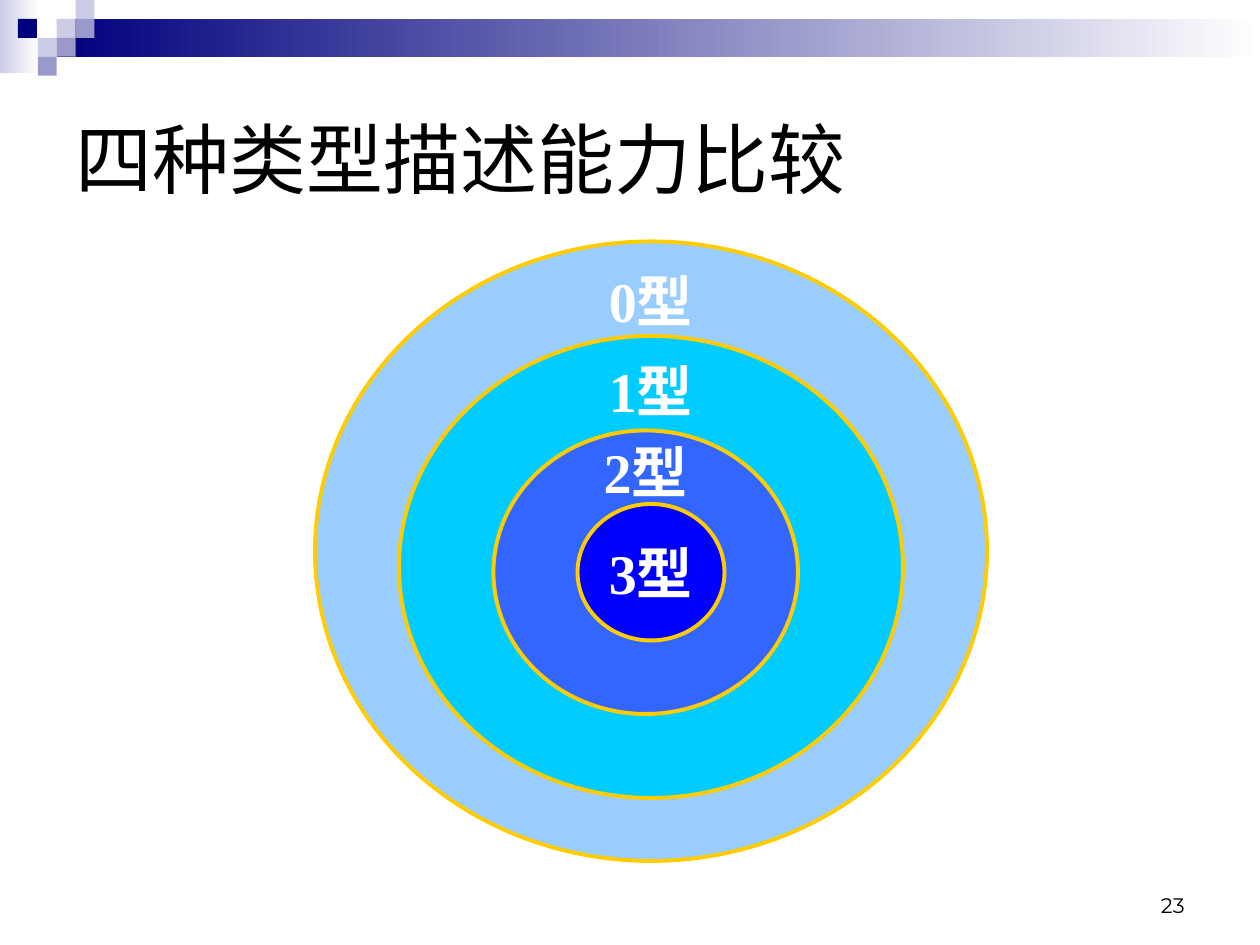
"""Build a slide of four nested grammar types under a pixel banner."""
import dataclasses
import typing

import pptx
import pptx.dml.color
import pptx.enum.shapes
import pptx.enum.text
import pptx.oxml.ns
import pptx.util
from lxml import etree

ALIGN = pptx.enum.text.PP_ALIGN
ANCHOR = pptx.enum.text.MSO_ANCHOR
KIND = pptx.enum.shapes.MSO_SHAPE


@dataclasses.dataclass(frozen=True)
class Theme:
    dark: str = "00007D"
    mid: str = "9999CC"
    pale: str = "CCCCE6"
    white: str = "FFFFFF"
    black: str = "000000"
    gold: str = "FFCC00"
    rings: tuple = ("99CCFF", "00CCFF", "3366FF", "0000FF")
    han: str = "Noto Sans CJK SC"
    serif: str = "Times New Roman"
    sans: str = "Montserrat"
    title: int = 44
    label: int = 32
    small: int = 12
    edge: float = 2.25


class Box(typing.NamedTuple):
    col: float
    row: float
    wide: float
    high: float


class Ring(typing.NamedTuple):
    box: Box
    fill: str
    text: str
    top: float


class Pixel(typing.NamedTuple):
    col: float
    row: float
    fill: str


THEME = Theme()
GRID = 1 / 12
STEP = 0.15
LABEL = Box(0, 0, 16, 8)

BANDS = [
    (Box(0, 0, 2.07, 3.87), THEME.pale),
    (Box(3, 1, 63.67, 2), THEME.dark),
]
PIXELS = [
    Pixel(3, 1, THEME.pale),
    Pixel(4, 0, THEME.pale),
    Pixel(4, 1, THEME.mid),
    Pixel(2, 2, THEME.pale),
    Pixel(0.95, 1, THEME.dark),
    Pixel(3, 2, THEME.mid),
    Pixel(2, 3, THEME.mid),
]
RINGS = [
    Ring(Box(30, 23, 64, 59), THEME.rings[0], "0型", 24.6),
    Ring(Box(38, 32, 48, 44), THEME.rings[1], "1型", 33.2),
    Ring(Box(47, 41, 29, 27), THEME.rings[2], "2型", 40.9),
    Ring(Box(55, 48, 14, 13), THEME.rings[3], "3型", 50.5),
]


def rgb(code: str) -> pptx.dml.color.RGBColor:
    return pptx.dml.color.RGBColor.from_string(code)


def place(box: Box, unit: float) -> list[int]:
    return [pptx.util.Inches(part * unit) for part in box]


def shape(slide, kind, box: Box, unit: float, fill: str):
    form = slide.shapes.add_shape(kind, *place(box, unit))
    form.shadow.inherit = False
    form.fill.solid()
    form.fill.fore_color.rgb = rgb(fill)
    form.line.fill.background()
    return form


def band(slide, box: Box, fill: str) -> None:
    form = shape(slide, KIND.RECTANGLE, box, STEP, fill)
    form.fill.gradient()
    form.fill.gradient_angle = 0
    for stop, code in zip(form.fill.gradient_stops, (fill, THEME.white)):
        stop.color.rgb = rgb(code)


def write(slide, box: Box, text: str, face: str, size: int, ink: str,
          align=ALIGN.LEFT, anchor=ANCHOR.MIDDLE, bold: bool = False) -> None:
    frame = slide.shapes.add_textbox(*place(box, GRID)).text_frame
    frame.word_wrap = True
    frame.vertical_anchor = anchor
    para = frame.paragraphs[0]
    para.alignment = align
    run = para.add_run()
    run.text = text
    font = run.font
    font.name, font.size, font.bold = face, pptx.util.Pt(size), bold
    font.color.rgb = rgb(ink)
    east = etree.SubElement(run._r.get_or_add_rPr(), pptx.oxml.ns.qn("a:ea"))
    east.set("typeface", THEME.han)


def draw(slide, ring: Ring) -> None:
    form = shape(slide, KIND.OVAL, ring.box, GRID, ring.fill)
    form.line.color.rgb = rgb(THEME.gold)
    form.line.width = pptx.util.Pt(THEME.edge)
    left = ring.box.col + (ring.box.wide - LABEL.wide) / 2
    write(slide, LABEL._replace(col=left, row=ring.top), ring.text,
          THEME.serif, THEME.label, THEME.white, ALIGN.CENTER, bold=True)


def main() -> None:
    deck = pptx.Presentation()
    deck.slide_width = pptx.util.Inches(10)
    deck.slide_height = pptx.util.Inches(7.5)
    slide = deck.slides.add_slide(deck.slide_layouts[6])
    for box, fill in BANDS:
        band(slide, box, fill)
    for dot in PIXELS:
        shape(slide, KIND.RECTANGLE, Box(dot.col, dot.row, 1, 1), STEP, dot.fill)
    write(slide, Box(86, 82, 28, 6), "23", THEME.sans, THEME.small,
          THEME.black, ALIGN.RIGHT, ANCHOR.BOTTOM)
    write(slide, Box(6, 6, 108, 18), "四种类型描述能力比较", THEME.han,
          THEME.title, THEME.black)
    for ring in RINGS:
        draw(slide, ring)
    deck.save("out.pptx")


if __name__ == "__main__":
    main()
